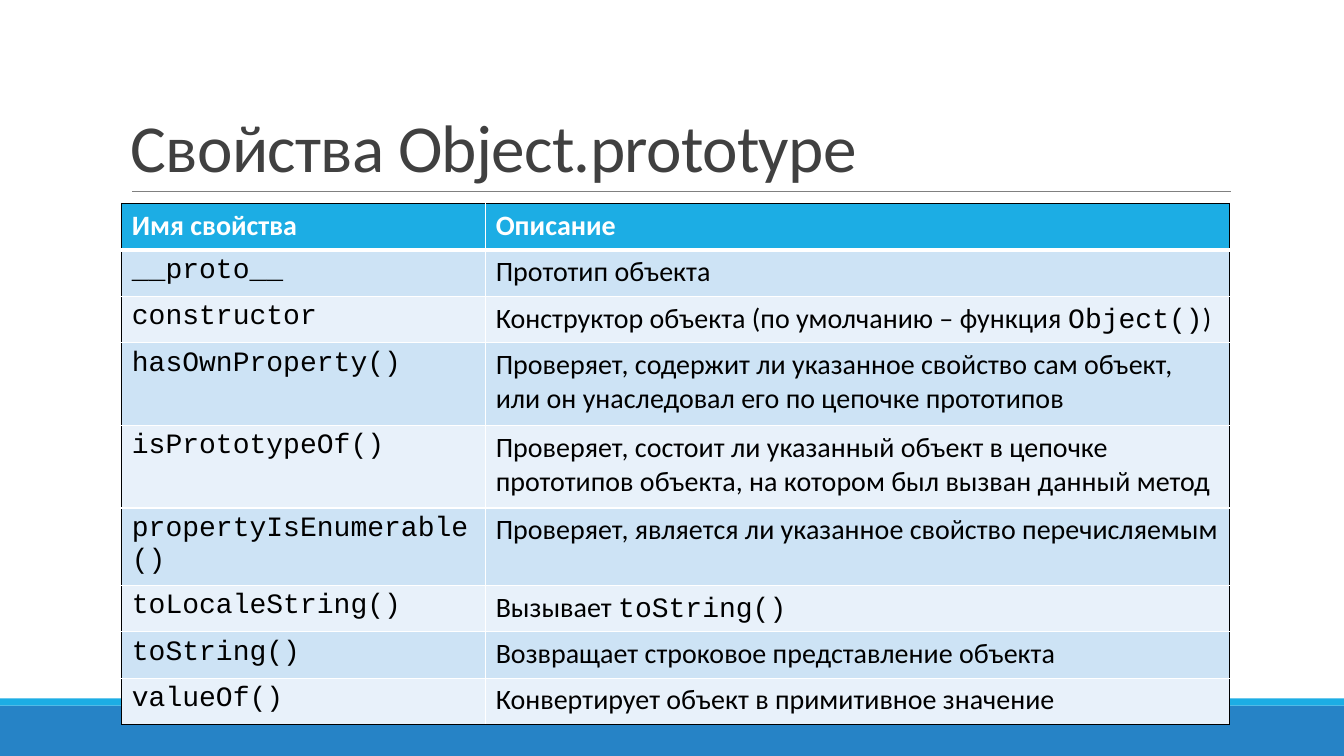
from lxml.etree import SubElement
from pptx import Presentation
from pptx.dml.color import RGBColor
from pptx.enum.shapes import MSO_CONNECTOR as Connector, MSO_SHAPE as Shape
from pptx.enum.text import MSO_ANCHOR as Anchor
from pptx.oxml.ns import qn
from pptx.util import Cm, Pt

WHITE = RGBColor(0xFF, 0xFF, 0xFF)
BLACK = RGBColor(0x00, 0x00, 0x00)
GREY = RGBColor(0x80, 0x80, 0x80)
DARK = RGBColor(0x40, 0x40, 0x40)
BLUE = RGBColor(0x26, 0x83, 0xC6)
CYAN = RGBColor(0x1C, 0xAD, 0xE4)
BAND_DARK = RGBColor(0xCD, 0xE3, 0xF5)
BAND_LIGHT = RGBColor(0xE8, 0xF1, 0xFA)

SANS, MONO = "Calibri", "Courier New"
CODE_MARK = "`"

TITLE = "Свойства Object.prototype"
ROWS = [
    ("Имя свойства", "Описание"),
    ("`__proto__`", "Прототип объекта"),
    ("`constructor`", "Конструктор объекта (по умолчанию – функция `Object()`)"),
    ("`hasOwnProperty()`", "Проверяет, содержит ли указанное свойство сам объект, "
                           "или он унаследовал его по цепочке прототипов"),
    ("`isPrototypeOf()`", "Проверяет, состоит ли указанный объект в цепочке "
                          "прототипов объекта, на котором был вызван данный метод"),
    ("`propertyIsEnumerable()`", "Проверяет, является ли указанное свойство перечисляемым"),
    ("`toLocaleString()`", "Вызывает `toString()`"),
    ("`toString()`", "Возвращает строковое представление объекта"),
    ("`valueOf()`", "Конвертирует объект в примитивное значение"),
]
TALL_ROWS = {3, 4}
ROW_HEIGHT, TALL_HEIGHT = 1.17, 2.08
COLUMN_WIDTHS = (9.17, 18.75)
FOOTER_BANDS = [(17.78, 1.27, BLUE), (17.6, 0.18, CYAN)]
SLIDE_WIDTH, SLIDE_HEIGHT = 33.87, 19.05


def style_span(span, font, size, color, bold=False):
    span.font.name = font
    span.font.size = Pt(size)
    span.font.color.rgb = color
    span.font.bold = bold


def add_footer_band(page, top, height, color):
    band = page.shapes.add_shape(Shape.RECTANGLE, 0, Cm(top), Cm(SLIDE_WIDTH), Cm(height))
    band.shadow.inherit = False
    band.fill.solid()
    band.fill.fore_color.rgb = color
    band.line.fill.background()


def add_title(page):
    rule = page.shapes.add_connector(
        Connector.STRAIGHT, Cm(3.33), Cm(4.83), Cm(31.01), Cm(4.83))
    rule.line.color.rgb = GREY
    rule.line.width = Pt(0.5)
    SubElement(rule._element.spPr, qn("a:effectLst"))

    box = page.shapes.add_textbox(Cm(3.05), Cm(0.79), Cm(27.94), Cm(4.04))
    frame = box.text_frame
    frame.word_wrap = True
    frame.vertical_anchor = Anchor.BOTTOM
    frame.text = TITLE
    para = frame.paragraphs[0]
    para.line_spacing = 0.85
    span = para.runs[0]
    style_span(span, SANS, 48, DARK)
    span._r.get_or_add_rPr().set("spc", "-50")


def add_border(cell, side, color, width):
    line = SubElement(cell._tc.get_or_add_tcPr(), qn(f"a:ln{side}"), w=str(Pt(width)))
    fill = SubElement(line, qn("a:solidFill"))
    SubElement(fill, qn("a:srgbClr"), val=str(color))


def fill_cell(cell, text, row, column):
    first_row, last_row = row == 0, row == len(ROWS) - 1
    first_column, last_column = column == 0, column == len(COLUMN_WIDTHS) - 1
    borders = [
        ("L", first_column, 1),
        ("R", last_column, 1),
        ("T", first_row, 3 if row == 1 else 1),
        ("B", last_row, 3 if first_row else 1),
    ]
    for side, outer, width in borders:
        add_border(cell, side, BLACK if outer else WHITE, width)
    cell.fill.solid()
    cell.fill.fore_color.rgb = CYAN if first_row else BAND_DARK if row % 2 else BAND_LIGHT

    para = cell.text_frame.paragraphs[0]
    for index, part in enumerate(text.split(CODE_MARK)):
        if part:
            span = para.add_run()
            span.text = part
            style_span(span, MONO if index % 2 else SANS, 20,
                       WHITE if first_row else BLACK, first_row)


def add_property_table(page):
    heights = [TALL_HEIGHT if row in TALL_ROWS else ROW_HEIGHT for row in range(len(ROWS))]
    table = page.shapes.add_table(
        len(ROWS), len(COLUMN_WIDTHS), Cm(3.07), Cm(5.13),
        Cm(sum(COLUMN_WIDTHS)), Cm(sum(heights))).table
    table.first_row = False
    table.horz_banding = False
    for column, width in enumerate(COLUMN_WIDTHS):
        table.columns[column].width = Cm(width)
    for row, texts in enumerate(ROWS):
        table.rows[row].height = Cm(heights[row])
        for column, text in enumerate(texts):
            fill_cell(table.cell(row, column), text, row, column)


def main():
    deck = Presentation()
    deck.slide_width, deck.slide_height = Cm(SLIDE_WIDTH), Cm(SLIDE_HEIGHT)
    page = deck.slides.add_slide(deck.slide_layouts[6])
    for top, height, color in FOOTER_BANDS:
        add_footer_band(page, top, height, color)
    add_title(page)
    add_property_table(page)
    deck.save("out.pptx")


if __name__ == "__main__":
    main()
